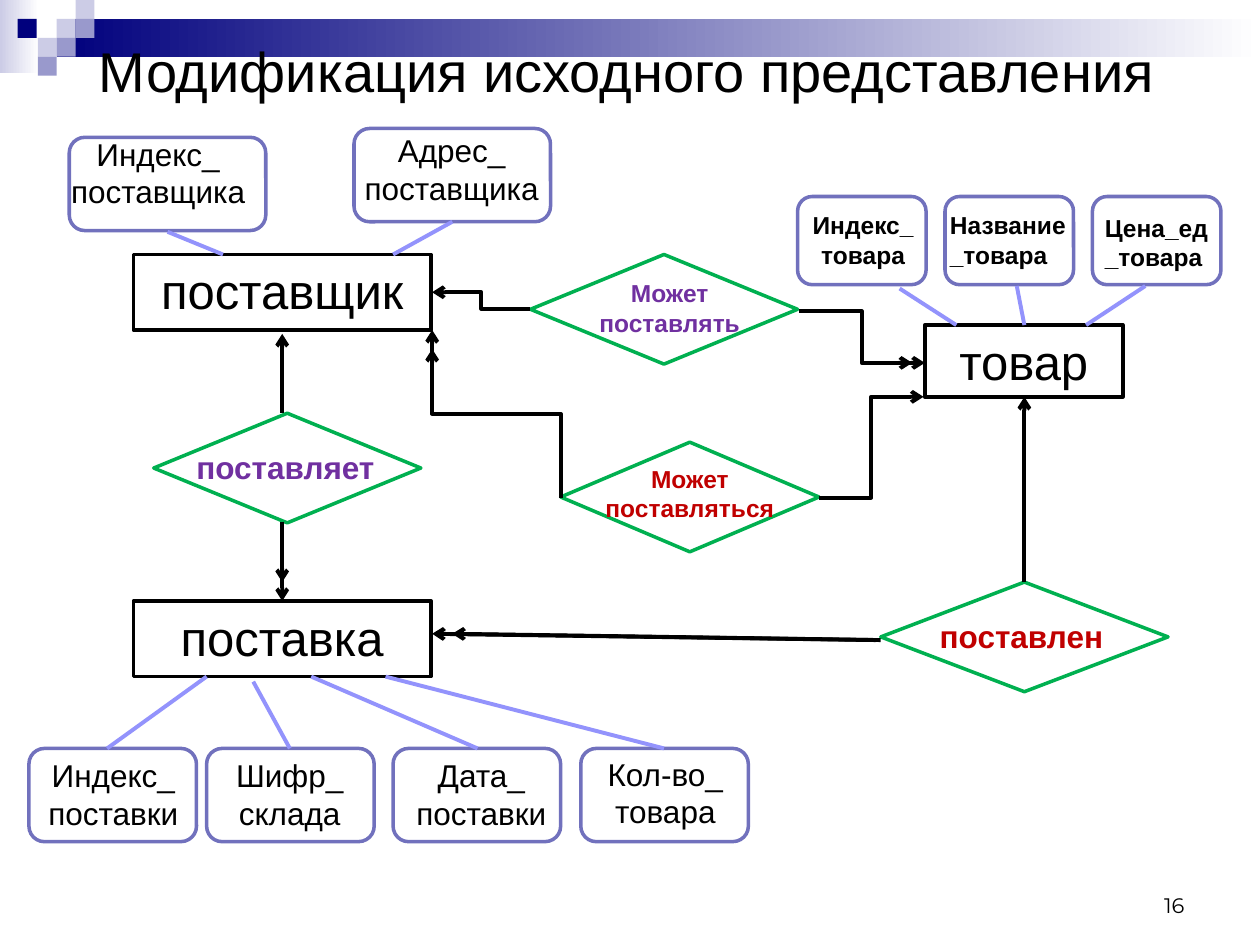
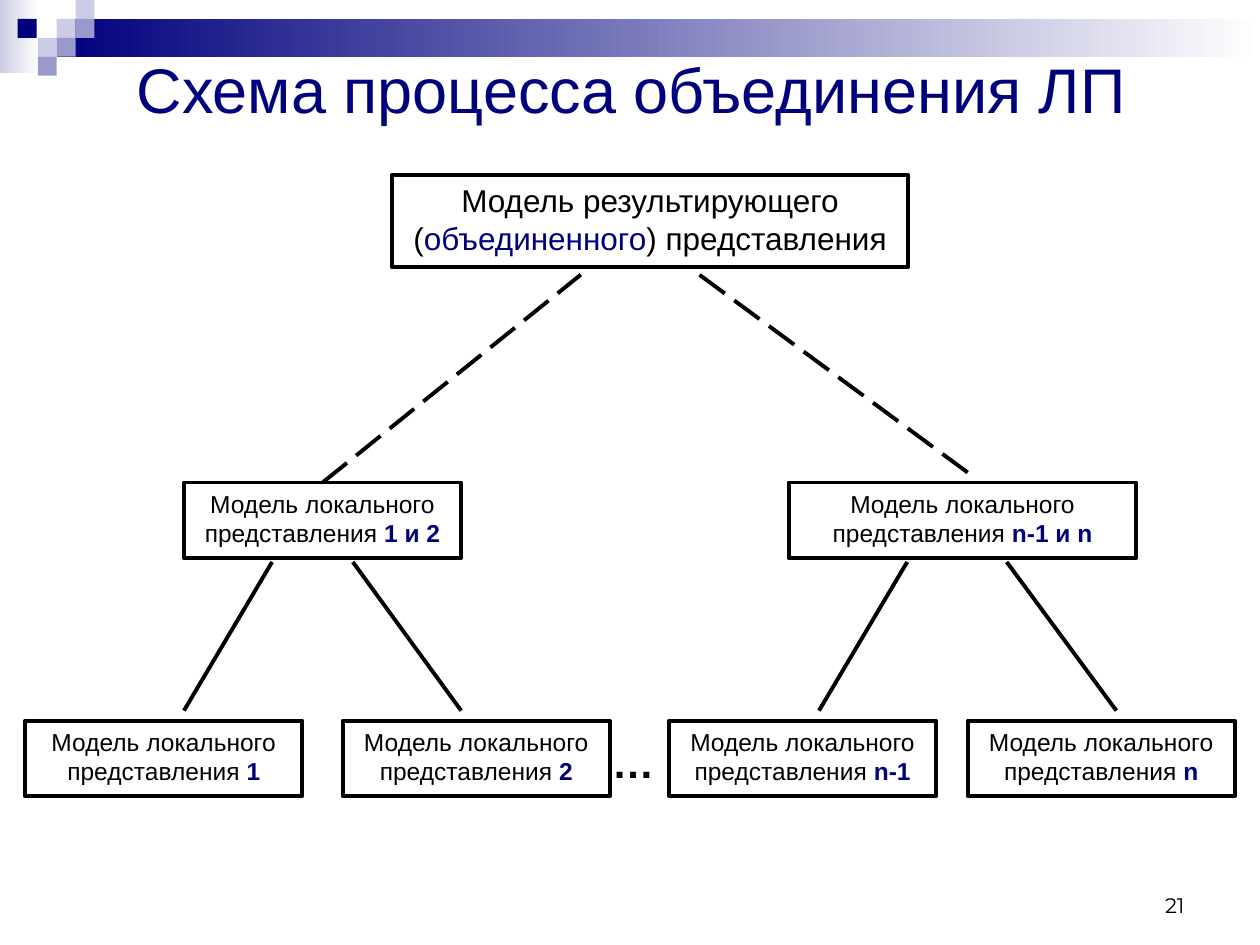
from lxml import etree
from pptx import Presentation
from pptx.dml.color import RGBColor
from pptx.enum.dml import MSO_LINE
from pptx.enum.shapes import MSO_CONNECTOR, MSO_SHAPE
from pptx.enum.text import MSO_ANCHOR, MSO_AUTO_SIZE, PP_ALIGN
from pptx.oxml.ns import qn
from pptx.util import Inches, Pt

RECT, CARD, DIAMOND = MSO_SHAPE.RECTANGLE, MSO_SHAPE.ROUNDED_RECTANGLE, MSO_SHAPE.DIAMOND
STRAIGHT, ELBOW = MSO_CONNECTOR.STRAIGHT, MSO_CONNECTOR.ELBOW
LEFT, CENTER, RIGHT = PP_ALIGN.LEFT, PP_ALIGN.CENTER, PP_ALIGN.RIGHT
TOP, MIDDLE, BOTTOM = MSO_ANCHOR.TOP, MSO_ANCHOR.MIDDLE, MSO_ANCHOR.BOTTOM
LONG_DASH = MSO_LINE.LONG_DASH

WIDTH, HEIGHT = Inches(10), Inches(7.5)
COLUMNS = 100  # square grid: 100 columns by 75 rows
TITLE_ONLY = 5

BLACK, NAVY = "000000", "00007D"
LILAC, LAVENDER, WHITE = "9999CC", "CCCCE6", "FFFFFF"
CARD_EDGE, CARD_LINK = "7171BD", "9393FC"
GREEN, PURPLE, RED = "00B050", "7030A0", "C00000"


def color(value):
    return RGBColor.from_string(value)


def grid(*cells):
    """Turn columns and rows into slide lengths."""
    return [round(cell * WIDTH / COLUMNS) for cell in cells]


def write(frame, content, size=18, ink=BLACK, bold=False, align=CENTER,
          anchor=TOP, font="Arial"):
    """Fill a frame; content is a string or a list of (text, ink, bold)."""
    frame.word_wrap = True
    frame.auto_size = MSO_AUTO_SIZE.NONE
    frame.vertical_anchor = anchor
    paragraph = frame.paragraphs[0]
    paragraph.alignment = align
    parts = [(content, ink, bold)] if isinstance(content, str) else content
    for text, part_ink, part_bold in parts:
        for number, line in enumerate(text.split("\n")):
            if number:
                paragraph.add_line_break()
            run = paragraph.add_run()
            run.text = line
            run.font.name = font
            run.font.size = Pt(size)
            run.font.bold = part_bold
            run.font.color.rgb = color(part_ink)


class Deck:
    def __init__(self):
        self.file = Presentation()
        self.file.slide_width, self.file.slide_height = WIDTH, HEIGHT
        self.layout = self.file.slide_layouts[TITLE_ONLY]
        self.slide = None

    def open_slide(self, title, place, number, **style):
        first = self.slide is None
        self.slide = self.file.slides.add_slide(self.layout)
        if first:
            self.decorate_layout()
        heading = self.slide.shapes.title
        heading.left, heading.top, heading.width, heading.height = grid(*place)
        write(heading.text_frame, title, anchor=MIDDLE, **style)
        self.label(str(number), (71.7, 68.3, 23.3, 5), size=12, align=RIGHT,
                   anchor=BOTTOM, font="Montserrat")

    def decorate_layout(self):
        """Put the gradient band and the squares behind every slide."""
        square = 1.5
        parts = [self.gradient((0, 0, 3.1, 5.8), LAVENDER, WHITE),
                 self.gradient((4.5, square, 95.5, 2 * square), NAVY, WHITE)]
        for left, row, fill in [(4.5, 1, LAVENDER), (6, 0, LAVENDER), (6, 1, LILAC),
                                (3, 2, LAVENDER), (1.4, 1, NAVY), (4.5, 2, LILAC),
                                (3, 3, LILAC)]:
            tile = self.shape(RECT, (left, row * square, square, square))
            tile.fill.solid()
            tile.fill.fore_color.rgb = color(fill)
            parts.append(tile)
        tree = self.layout.shapes._spTree
        for position, part in enumerate(parts, start=2):
            tree.insert(position, part._element)

    def gradient(self, place, start, end):
        band = self.shape(RECT, place)
        band.fill.gradient()
        band.fill.gradient_angle = 0
        for stop, tone, share in zip(band.fill.gradient_stops, (start, end), (0, 1)):
            stop.color.rgb = color(tone)
            stop.position = share
        return band

    def shape(self, kind, place, edge=None, weight=2.25):
        shape = self.slide.shapes.add_shape(kind, *grid(*place))
        shape.shadow.inherit = False
        shape.fill.background()
        if edge:
            shape.line.color.rgb = color(edge)
            shape.line.width = Pt(weight)
        else:
            shape.line.fill.background()
        return shape

    def label(self, content, place, **style):
        box = self.slide.shapes.add_textbox(*grid(*place))
        write(box.text_frame, content, **style)

    def box(self, content, place, **style):
        write(self.shape(RECT, place, BLACK).text_frame, content, **style)

    def relation(self, name, place, name_place, **style):
        self.shape(DIAMOND, place, GREEN, 2)
        self.label(name, name_place, bold=True, **style)

    def attribute(self, name, place, name_place, link, **style):
        self.shape(CARD, place, CARD_EDGE, 2)
        self.label(name, name_place, **style)
        self.line(link, ink=CARD_LINK)

    def line(self, ends, kind=STRAIGHT, ink=BLACK, arrow=False, dash=None):
        connector = self.slide.shapes.add_connector(kind, *grid(*ends))
        connector.line.color.rgb = color(ink)
        connector.line.width = Pt(2.25)
        if dash:
            connector.line.dash_style = dash
        if arrow:
            etree.SubElement(connector.line._get_or_add_ln(), qn("a:tailEnd"), type="arrow")
        etree.SubElement(connector._element.spPr, qn("a:effectLst"))
        return connector

    def arrow(self, *ends, kind=STRAIGHT):
        return self.line(ends, kind, arrow=True)

    def rising_arrow(self, x1, y1, x2, y2):
        """Elbow arrow to the upper left that leaves vertically."""
        middle_x, middle_y = (x1 + x2) / 2, (y1 + y2) / 2
        half_rise, half_run = (y1 - y2) / 2, (x1 - x2) / 2
        turned = self.arrow(middle_x - half_rise, middle_y + half_run,
                            middle_x + half_rise, middle_y - half_run, kind=ELBOW)
        turned._element.spPr.find(qn("a:xfrm")).set("rot", str(270 * 60000))


def add_modification(deck):
    deck.open_slide("Модификация исходного представления", (2.7, 2, 94.1, 7.2), 16, size=32)

    for entity, place in [("поставщик", (10.6, 20.2, 23.6, 6)),
                          ("поставка", (10.6, 47.7, 23.6, 6)),
                          ("товар", (73.4, 25.8, 15.7, 5.7))]:
        deck.box(entity, place, size=28)

    deck.relation("поставляет", (12.2, 32.8, 21.2, 8.7), (14.6, 35.1, 16.7, 4),
                  ink=PURPLE, align=LEFT)
    deck.relation("поставлен", (69.9, 46.2, 22.8, 8.7), (73.6, 48.5, 15.7, 4),
                  ink=RED, align=LEFT)
    deck.relation("Может поставлять", (42.1, 20.2, 21.2, 8.7), (45.3, 21.6, 15.7, 5.7),
                  ink=PURPLE, size=14)
    deck.relation("Может поставляться", (44.5, 35.1, 20.5, 8.7), (46.9, 36.3, 15.7, 5.7),
                  ink=RED, size=14)

    for ends in [(22.4, 32.8, 22.4, 26.5), (22.4, 41.4, 22.4, 47.7),
                 (22.4, 41.4, 22.4, 46.2), (69.5, 50.8, 34.3, 50.3),
                 (69.9, 50.8, 35.9, 50.3), (81.3, 46.2, 81.3, 31.5),
                 (69.5, 28.8, 72.4, 28.8), (34.3, 30.4, 34.3, 27.7)]:
        deck.arrow(*ends)
    for ends in [(42.1, 24.5, 34.3, 23.2), (63.4, 24.7, 73.4, 28.8),
                 (65, 39.5, 73.3, 31.5)]:
        deck.arrow(*ends, kind=ELBOW)
    deck.rising_arrow(44.5, 39.5, 34.3, 26.2)

    # name, card left and top, name box left, top and width, link
    supplier = [
        ("Индекс_\nпоставщика", 5.5, 10.9, (3.9, 10.2, 17.3), (13.3, 18.4, 17.7, 20.2)),
        ("Адрес_\nпоставщика", 28.1, 10.2, (27.2, 9.9, 17.3), (35.9, 17.6, 31.2, 20.2)),
    ]
    for name, left, top, name_place, link in supplier:
        deck.attribute(name, (left, top, 15.6, 7.4), (*name_place, 7), link)

    delivery = [
        ("Индекс_\nпоставки", 2.3, (2.7, 59.5, 12.6), (16.4, 53.7, 8.5, 59.4)),
        ("Шифр_\nсклада", 16.4, (17.7, 59.5, 10.6), (20.1, 54.1, 23, 59.4)),
        ("Дата_\nпоставки", 31.2, (31.1, 59.5, 14.2), (24.7, 53.7, 37.9, 59.4)),
        ("Кол-во_\nтовара", 46.1, (46.9, 59.4, 11.8), (30.6, 53.7, 52.7, 59.4)),
    ]
    for name, left, name_place, link in delivery:
        deck.attribute(name, (left, 59.4, 13.3, 7.4), (*name_place, 7), link)

    goods = [
        ("Индекс_\nтовара", CENTER, (63.4, 16.2, 10.2), (71.4, 22.9, 75.9, 25.8)),
        ("Название\n_товара", LEFT, (74.4, 16.2, 11.8), (80.7, 22.7, 81.3, 25.8)),
        ("Цена_ед\n_товара", LEFT, (86.7, 16.4, 11), (90.9, 22.7, 86.2, 25.8)),
    ]
    for column, (name, align, name_place, link) in enumerate(goods):
        deck.attribute(name, (63.3 + 11.7 * column, 15.6, 10.2, 7), (*name_place, 5.7),
                       link, size=14, bold=True, align=align)


def add_merging_scheme(deck):
    deck.open_slide("Схема процесса объединения ЛП", (5.1, 2.8, 90, 8.5), 21,
                    size=36, ink=NAVY)

    deck.box([("Модель результирующего (", BLACK, False), ("объединенного", NAVY, False),
              (") представления", BLACK, False)], (31.1, 13.9, 41, 7.3))

    leaf_top, pair_top = 57.2, 38.3
    for views, left, top, width in [("1 и 2", 14.6, pair_top, 22),
                                    ("n-1 и n", 62.6, pair_top, 27.6),
                                    ("1", 2, leaf_top, 22), ("2", 27.2, leaf_top, 21.2),
                                    ("n-1", 53.1, leaf_top, 21.2),
                                    ("n", 76.8, leaf_top, 21.2)]:
        deck.box([("Модель локального представления ", BLACK, False), (views, NAVY, True)],
                 (left, top, width, 6), size=14)
    deck.label("…", (47.6, 58, 3.9, 5), size=24, bold=True, align=LEFT)

    for leaf, pair in [(14.6, 21.6), (36.6, 28), (65, 72), (88.6, 79.9)]:
        deck.line((leaf, 56.4, pair, 44.6))
    for ends in [(25.6, 38.3, 46.1, 21.8), (76.8, 37.5, 55.5, 21.8)]:
        deck.line(ends, dash=LONG_DASH)


def main():
    deck = Deck()
    add_modification(deck)
    add_merging_scheme(deck)
    deck.file.save("out.pptx")


if __name__ == "__main__":
    main()
